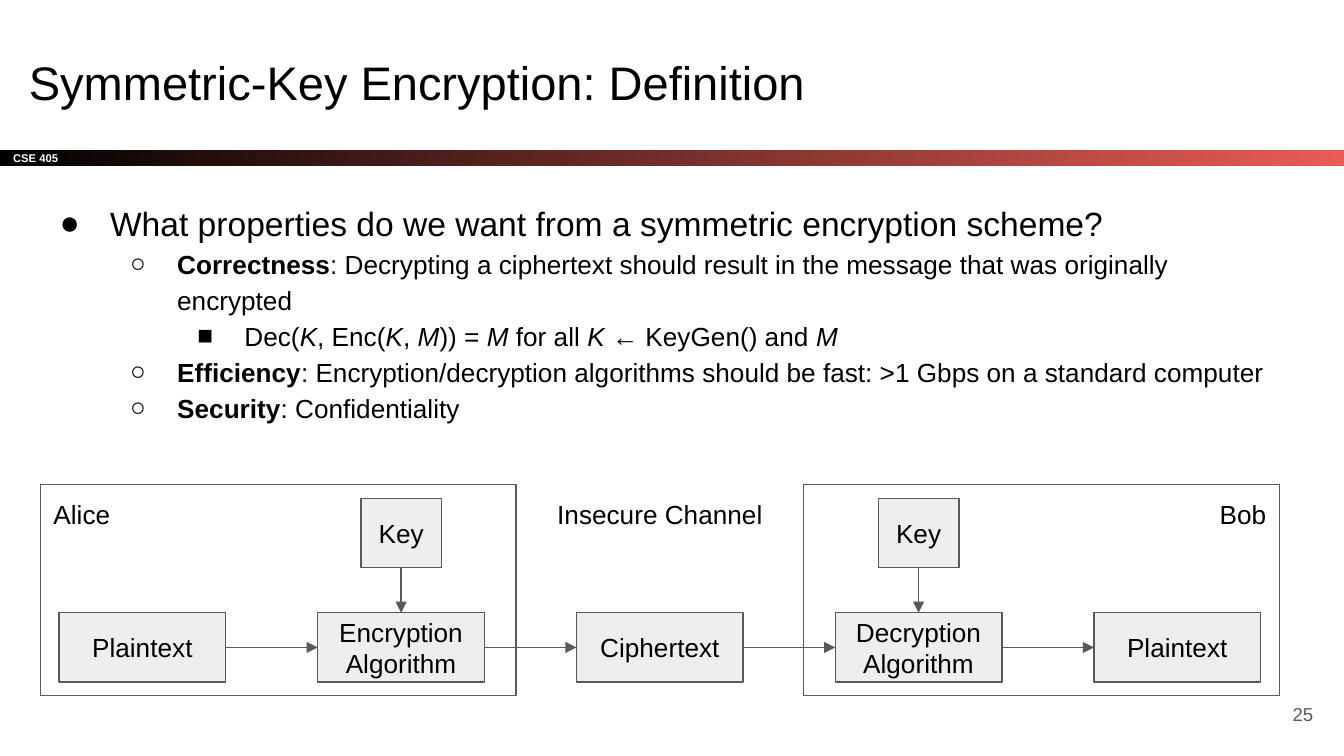
from dataclasses import dataclass

from lxml.etree import SubElement
from pptx import Presentation
from pptx.dml.color import RGBColor
from pptx.enum.shapes import MSO_CONNECTOR as Connector, MSO_SHAPE as Shape
from pptx.enum.text import MSO_ANCHOR as Anchor, PP_ALIGN as Align
from pptx.oxml.ns import qn
from pptx.util import Pt

PX = 4572  # 200 px to the inch
WIDTH, HEIGHT = 2000, 1125
INSET = 20 * PX
TOP, LEFT, BOTTOM, RIGHT = range(4)  # connection sites of a rectangle


@dataclass(frozen=True)
class Theme:
    font: str = "Arial"
    ink: str = "000000"
    line: str = "595959"
    box: str = "EEEEEE"
    paper: str = "FFFFFF"
    accent: str = "E85C54"
    title: float = 25.2
    lead: float = 18
    text: float = 14
    number: float = 10
    tag: float = 6
    stroke: float = 0.75


THEME = Theme()

# Level: bullet, left margin, hanging indent, type size
LEVELS = [
    ("●", 100, 75, THEME.lead),
    ("○", 200, 70, THEME.text),
    ("■", 300, 70, THEME.text),
]

# Level, then runs of (text, style)
POINTS = [
    (0, [("What properties do we want from a symmetric encryption scheme?", "")]),
    (1, [("Correctness", "b"),
         (": Decrypting a ciphertext should result in the message that was "
          "originally encrypted", "")]),
    (2, [("Dec(", ""), ("K", "i"), (", Enc(", ""), ("K", "i"), (", ", ""),
         ("M", "i"), (")) = ", ""), ("M", "i"), (" for all ", ""), ("K", "i"),
         (" ← KeyGen() and ", ""), ("M", "i")]),
    (1, [("Efficiency", "b"),
         (": Encryption/decryption algorithms should be fast: >1 Gbps on a "
          "standard computer", "")]),
    (1, [("Security", "b"), (": Confidentiality", "")]),
]

STEPS = ["Plaintext", "Encryption Algorithm", "Ciphertext",
         "Decryption Algorithm", "Plaintext"]
KEYED_STEPS = (1, 3)
FIRST_STEP, STEP_PITCH = 88, 385
STEP_WIDTH, KEY_WIDTH, BOX_HEIGHT = 248, 120, 103


def color(value):
    return RGBColor.from_string(value)


def apply(target, values):
    for name, value in values.items():
        setattr(target, name, value)


def emu(*lengths):
    return [length * PX for length in lengths]


def add_run(paragraph, text, size, ink=THEME.ink, **style):
    run = paragraph.add_run()
    run.text = text
    apply(run.font, {"name": THEME.font, "size": Pt(size), **style})
    run.font.color.rgb = color(ink)


def set_frame(shape, anchor):
    apply(shape.text_frame, {
        "word_wrap": True, "vertical_anchor": anchor,
        "margin_left": INSET, "margin_right": INSET,
        "margin_top": INSET, "margin_bottom": INSET,
    })


def write(shape, text, size=THEME.text, ink=THEME.ink, align=Align.LEFT,
          anchor=Anchor.TOP, **style):
    set_frame(shape, anchor)
    paragraph = shape.text_frame.paragraphs[0]
    paragraph.alignment = align
    add_run(paragraph, text, size, ink, **style)


def add_label(slide, bounds, text, **format_values):
    write(slide.shapes.add_textbox(*emu(*bounds)), text, **format_values)


def add_box(slide, bounds, text=None):
    """A filled box with centred text, or an open frame without text."""
    shape = slide.shapes.add_shape(Shape.RECTANGLE, *emu(*bounds))
    shape.shadow.inherit = False
    shape.line.color.rgb = color(THEME.line)
    shape.line.width = Pt(THEME.stroke)
    if text:
        shape.fill.solid()
        shape.fill.fore_color.rgb = color(THEME.box)
        write(shape, text, align=Align.CENTER, anchor=Anchor.MIDDLE)
    else:
        shape.fill.background()
    return shape


def add_arrow(slide, start, start_site, end, end_site):
    arrow = slide.shapes.add_connector(Connector.STRAIGHT, 0, 0, 0, 0)
    arrow.begin_connect(start, start_site)
    arrow.end_connect(end, end_site)
    arrow.line.color.rgb = color(THEME.line)
    arrow.line.width = Pt(THEME.stroke)
    SubElement(arrow.line._get_or_add_ln(), qn("a:tailEnd"), type="triangle")
    SubElement(arrow._element.spPr, qn("a:effectLst"))


def add_band(slide):
    band = slide.shapes.add_shape(Shape.RECTANGLE, *emu(0, 223, WIDTH, 24))
    band.shadow.inherit = False
    band.line.fill.background()
    band.fill.gradient()
    band.fill.gradient_angle = 0
    stops = zip(band.fill.gradient_stops, (THEME.ink, THEME.accent))
    for position, (stop, value) in enumerate(stops):
        stop.position = position
        stop.color.rgb = color(value)
    write(band, "CSE 405", THEME.tag, THEME.paper, anchor=Anchor.MIDDLE, bold=True)


def set_title(slide, text):
    title = slide.shapes.title
    apply(title, dict(zip(("left", "top", "width", "height"),
                          emu(23, 60, 1864, 126))))
    write(title, text, THEME.title)


def set_bullet(paragraph, mark, margin, hang):
    properties = paragraph._p.get_or_add_pPr()
    properties.set("marL", str(margin * PX))
    properties.set("indent", str(-hang * PX))
    bullet_color = SubElement(properties, qn("a:buClr"))
    SubElement(bullet_color, qn("a:srgbClr"), val=THEME.ink)
    SubElement(properties, qn("a:buFont"), typeface=THEME.font)
    SubElement(properties, qn("a:buChar"), char=mark)


def add_points(slide):
    body = slide.shapes.add_textbox(*emu(44, 273, 1864, 824))
    set_frame(body, Anchor.TOP)
    frame = body.text_frame
    for index, (level, runs) in enumerate(POINTS):
        paragraph = frame.add_paragraph() if index else frame.paragraphs[0]
        mark, margin, hang, size = LEVELS[level]
        set_bullet(paragraph, mark, margin, hang)
        apply(paragraph, {"level": level, "line_spacing": 1.15})
        for text, style in runs:
            add_run(paragraph, text, size, bold=style == "b", italic=style == "i")


def add_diagram(slide):
    # Frames of the two parties
    for left in (60, 1196):
        add_box(slide, (left, 721, 708, 314))

    # Steps from left to right, with a key above each algorithm
    lefts = [FIRST_STEP + STEP_PITCH * index for index in range(len(STEPS))]
    steps = [add_box(slide, (left, 912, STEP_WIDTH, BOX_HEIGHT), text)
             for left, text in zip(lefts, STEPS)]
    for start, end in zip(steps, steps[1:]):
        add_arrow(slide, start, RIGHT, end, LEFT)
    for index in KEYED_STEPS:
        left = lefts[index] + (STEP_WIDTH - KEY_WIDTH) // 2
        key = add_box(slide, (left, 742, KEY_WIDTH, BOX_HEIGHT), "Key")
        add_arrow(slide, key, BOTTOM, steps[index], TOP)

    # Names of the three zones
    for left, width, text, align in (
        (60, 168, "Alice", Align.LEFT),
        (1736, 168, "Bob", Align.RIGHT),
        (768, 428, "Insecure Channel", Align.CENTER),
    ):
        add_label(slide, (left, 721, width, 88), text, align=align)


def main():
    presentation = Presentation()
    apply(presentation, {"slide_width": WIDTH * PX, "slide_height": HEIGHT * PX})
    slide = presentation.slides.add_slide(presentation.slide_layouts[5])
    add_band(slide)
    set_title(slide, "Symmetric-Key Encryption: Definition")
    add_points(slide)
    add_label(slide, (1854, 1020, 120, 86), "25", size=THEME.number,
              ink=THEME.line, align=Align.RIGHT, anchor=Anchor.MIDDLE)
    add_diagram(slide)
    presentation.save("out.pptx")


if __name__ == "__main__":
    main()
